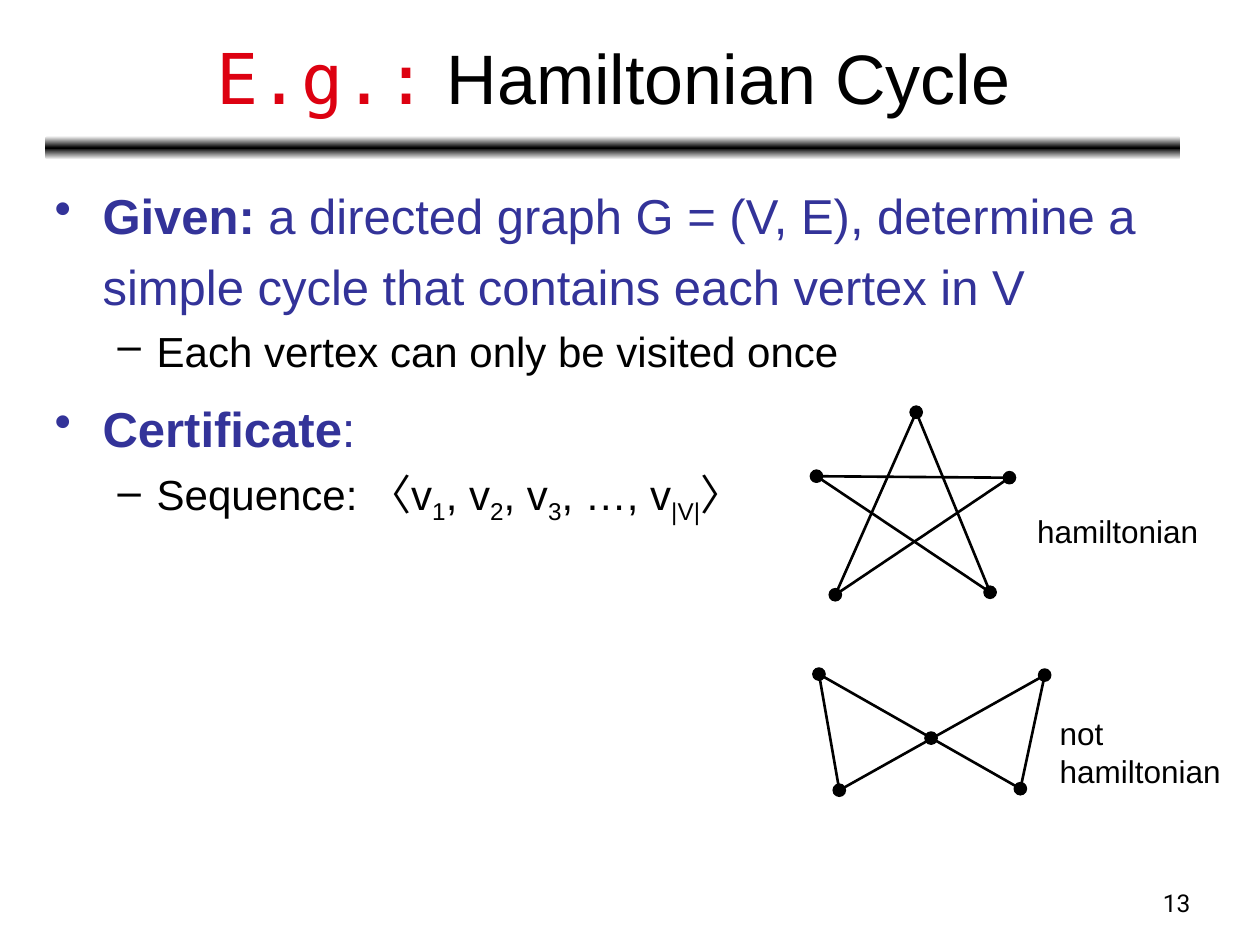
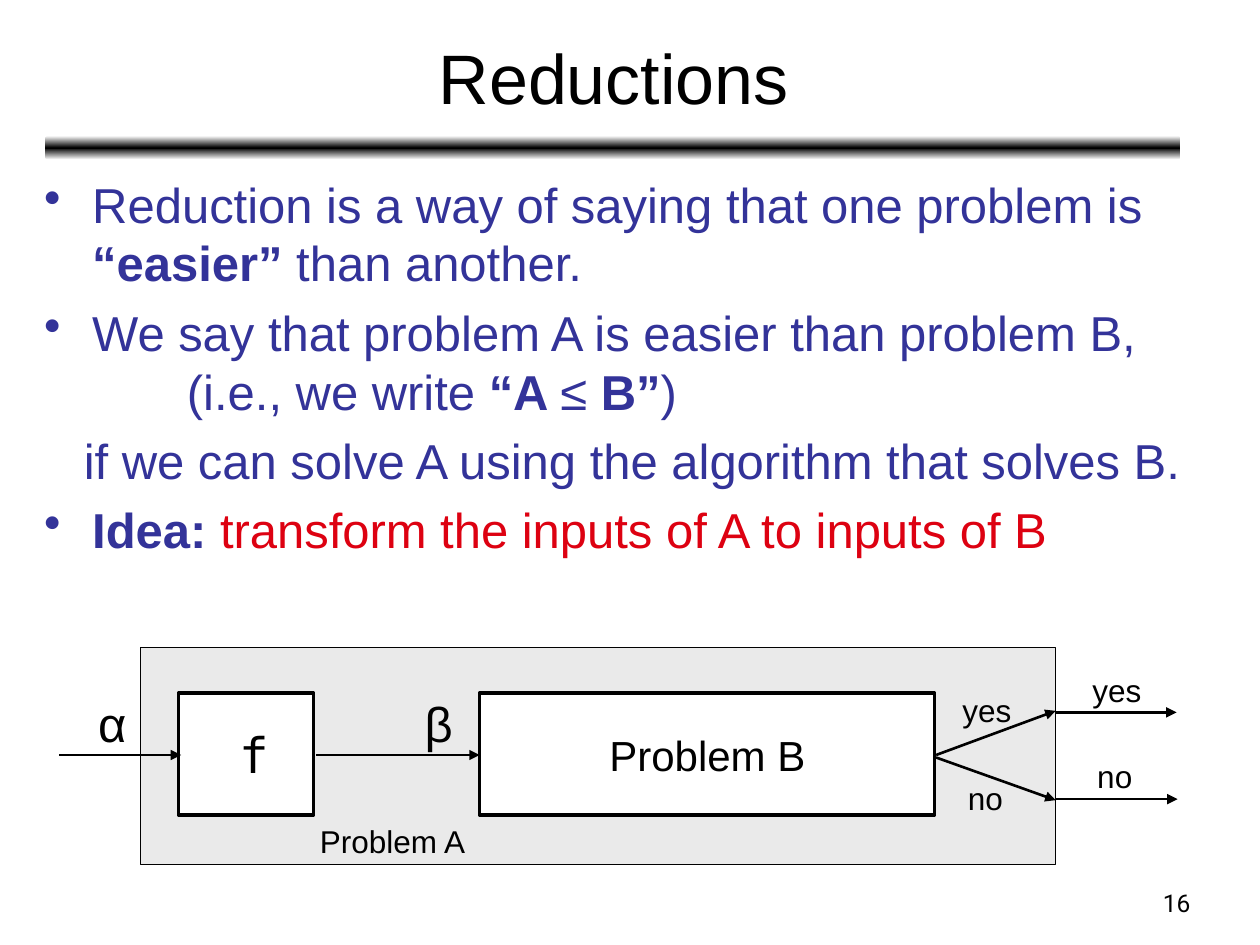
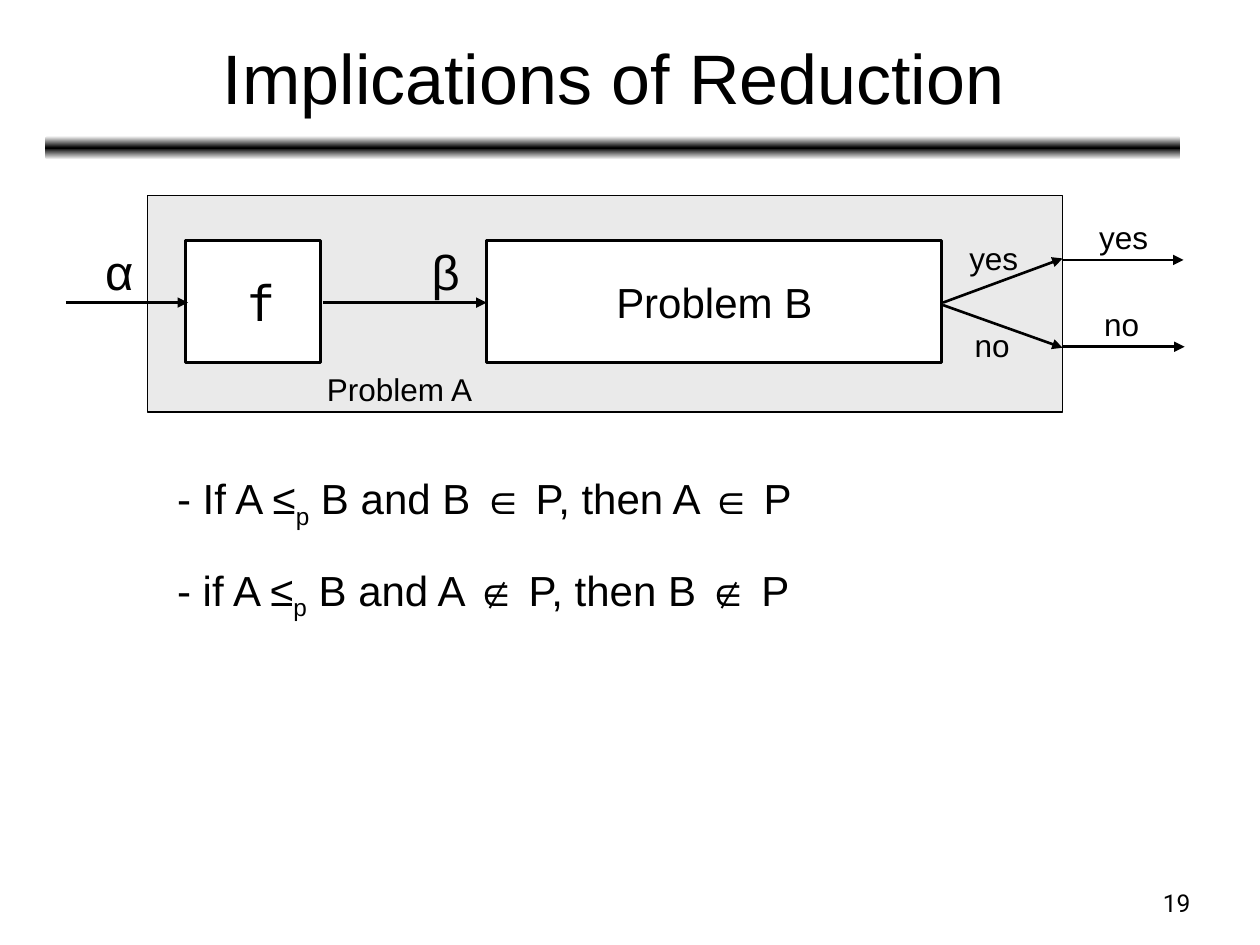
"""Build three lecture slides on Hamiltonian cycles and problem reductions."""
import copy

import pptx
import pptx.dml.color
import pptx.enum.shapes
import pptx.enum.text
import pptx.oxml
import pptx.oxml.ns
import pptx.util

Cm = pptx.util.Cm
Pt = pptx.util.Pt
RGBColor = pptx.dml.color.RGBColor
SHAPE = pptx.enum.shapes.MSO_SHAPE
ALIGN = pptx.enum.text.PP_ALIGN
ANCHOR = pptx.enum.text.MSO_ANCHOR

BLACK = RGBColor(0x00, 0x00, 0x00)
WHITE = RGBColor(0xFF, 0xFF, 0xFF)
BLUE = RGBColor(0x33, 0x33, 0x99)
RED = RGBColor(0xDD, 0x01, 0x11)
GREY = RGBColor(0xEA, 0xEA, 0xEA)
SANS = "Arial"
MONO = "DejaVu Sans Mono"
BOLD = {"bold": True}
SUBSCRIPT = {"baseline": -25000}
MAIN = {"size": 28, "color": BLUE, "left": 0.97, "hang": 0.97, "before": 6, "bullet": "•"}
DETAIL = {"size": 24, "left": 2.06, "hang": 0.79, "spacing": 1.2, "bullet": "–"}


def add_run(paragraph, text, size=18, font=SANS, color=BLACK, bold=False, baseline=None):
    """Append text to a paragraph in the given format."""
    run = paragraph.add_run()
    run.text = text
    run.font.size = Pt(size)
    run.font.name = font
    run.font.bold = bold
    run.font.color.rgb = color
    if baseline is not None:
        run.font._element.set("baseline", str(baseline))


def fill_paragraph(paragraph, runs, align=ALIGN.LEFT, left=0, hang=0, before=0,
                   spacing=None, bullet=None, **style):
    """Format a paragraph and fill it with (text, changes) runs."""
    paragraph.alignment = align
    paragraph.space_before = Pt(before)
    if spacing:
        paragraph.line_spacing = spacing
    properties = paragraph._p.get_or_add_pPr()
    properties.set("marL", str(Cm(left)))
    properties.set("indent", str(Cm(-hang)))
    if bullet:
        mark = pptx.oxml.parse_xml(
            f'<a:buChar {pptx.oxml.ns.nsdecls("a")} char="{bullet}"/>')
        properties.append(mark)
    for text, changes in runs:
        add_run(paragraph, text, **{**style, **changes})


class Deck:
    """Hold the shared style and the current slide."""

    def __init__(self):
        """Start an empty presentation of the right size."""
        self.presentation = pptx.Presentation()
        self.presentation.slide_width = Cm(25.4)
        self.presentation.slide_height = Cm(19.05)
        self.slide = None

    def start_slide(self, title_runs, number):
        """Add a slide with its title, band and number."""
        self.slide = self.presentation.slides.add_slide(self.presentation.slide_layouts[6])
        self.band()
        self.text(23.29, 17.78, 0.84, 0.81, [([(number, {})],
                  {"size": 14, "font": "Roboto", "align": ALIGN.RIGHT})], wrap=False)
        self.text(0.94, 0.28, 22.86, 2.51, [(title_runs, {"size": 40, "align": ALIGN.CENTER})],
                  anchor=ANCHOR.MIDDLE)

    def band(self):
        """Draw the shaded band under the title."""
        shape = self.shape(SHAPE.ROUNDED_RECTANGLE, 0.91, 2.74, 22.89, 0.48, WHITE)
        shape.line.fill.background()
        shape.adjustments[0] = 0.167
        shape.fill.gradient()
        shape.fill.gradient_angle = 90
        for stop in shape.fill.gradient_stops:
            stop.color.rgb = WHITE
        stops = shape.element.spPr.find(".//" + pptx.oxml.ns.qn("a:gsLst"))
        middle = copy.deepcopy(stops[0])
        middle.set("pos", "50000")
        middle[0].set("val", str(BLACK))
        stops.insert(1, middle)

    def shape(self, kind, left, top, width, height, fill, line_width=0.75):
        """Draw a filled shape with a black outline."""
        shape = self.slide.shapes.add_shape(kind, Cm(left), Cm(top), Cm(width), Cm(height))
        shape.shadow.inherit = False
        shape.fill.solid()
        shape.fill.fore_color.rgb = fill
        shape.line.color.rgb = BLACK
        shape.line.width = Pt(line_width)
        return shape

    def text(self, left, top, width, height, paragraphs, anchor=ANCHOR.TOP, wrap=True,
             margin_top=0.13):
        """Place a text box with (runs, style) paragraphs."""
        box = self.slide.shapes.add_textbox(Cm(left), Cm(top), Cm(width), Cm(height))
        frame = box.text_frame
        frame.word_wrap = wrap
        frame.vertical_anchor = anchor
        frame.margin_left = frame.margin_right = frame.margin_bottom = Cm(0.13)
        frame.margin_top = Cm(margin_top)
        for index, (runs, style) in enumerate(paragraphs):
            paragraph = frame.add_paragraph() if index else frame.paragraphs[0]
            fill_paragraph(paragraph, runs, **style)

    def label(self, left, top, width, height, *lines, anchor=ANCHOR.TOP, **style):
        """Place a short unwrapped label."""
        self.text(left, top, width, height, [([(line, {})], style) for line in lines],
                  anchor=anchor, wrap=False)

    def line(self, start, end, arrow=False):
        """Draw a black line, with an arrowhead at its end if asked."""
        connector = self.slide.shapes.add_connector(
            pptx.enum.shapes.MSO_CONNECTOR.STRAIGHT, *map(Cm, start + end))
        connector.line.color.rgb = BLACK
        connector.line.width = Pt(1.5)
        namespace = pptx.oxml.ns.nsdecls("a")
        if arrow:
            connector.line._get_or_add_ln().append(
                pptx.oxml.parse_xml(f'<a:tailEnd {namespace} type="triangle"/>'))
        connector.element.spPr.append(pptx.oxml.parse_xml(f"<a:effectLst {namespace}/>"))

    def graph(self, vertices, edges, diameter=0.25):
        """Draw a graph from named vertices and pairs of names."""
        for start, end in edges:
            self.line(vertices[start], vertices[end])
        for x, y in vertices.values():
            self.shape(SHAPE.OVAL, x - diameter / 2, y - diameter / 2, diameter, diameter, BLACK)

    def reduction(self, left, top):
        """Draw the reduction of problem A to problem B."""
        self.shape(SHAPE.RECTANGLE, left, top, 18.44, 4.37, GREY)
        for x, width in ((0.76, 2.72), (6.83, 9.17)):
            self.shape(SHAPE.RECTANGLE, left + x, top + 0.91, width, 2.46, WHITE, 2)
        centred = {"anchor": ANCHOR.MIDDLE, "align": ALIGN.CENTER}
        self.label(left + 1.85, top + 1.42, 0.56, 1.45, "f", size=28, font=MONO, **centred)
        self.label(left + 9.3, top + 1.54, 4.24, 1.22, "Problem B", size=24, **centred)
        for x1, y1, x2, y2 in ((-1.65, 2.16, 0.81, 2.16), (3.53, 2.16, 6.83, 2.16),
                               (16.03, 2.16, 18.44, 1.27), (16.03, 2.21, 18.44, 3.07),
                               (18.42, 1.3, 20.88, 1.3), (18.44, 3.05, 20.9, 3.05)):
            self.line((left + x1, top + y1), (left + x2, top + y2), arrow=True)
        for text, x, y, width, height, size in (
                ("α", -0.99, 0.79, 0.91, 1.24, 28), ("β", 5.59, 0.79, 0.84, 1.24, 28),
                ("yes", 16.43, 0.74, 1.27, 0.97, 18), ("no", 16.54, 2.51, 0.99, 0.97, 18),
                ("yes", 19.05, 0.33, 1.27, 0.97, 18), ("no", 19.15, 2.08, 0.99, 0.97, 18),
                ("Problem A", 3.48, 3.38, 3.23, 0.97, 18)):
            self.label(left + x, top + y, width, height, text, size=size)


def add_hamiltonian_cycle(deck):
    """Add the slide on Hamiltonian cycles."""
    deck.start_slide([("E.g.:", {"font": MONO, "color": RED}), (" Hamiltonian Cycle", {})], "13")
    main = {**MAIN, "spacing": 1.2}
    sequence = [("Sequence: 〈v", {}), ("1", SUBSCRIPT), (", v", {}), ("2", SUBSCRIPT),
                (", v", {}), ("3", SUBSCRIPT), (", …, v", {}), ("|V|", SUBSCRIPT), ("〉", {})]
    deck.text(0.97, 3.38, 22.86, 14.1, [
        ([("Given:", BOLD), (" a directed graph G = (V, E), determine a simple cycle "
                             "that contains each vertex in V", {})], main),
        ([("Each vertex can only be visited once", {})], DETAIL),
        ([("Certificate", BOLD), (":", {})], main),
        (sequence, DETAIL)])
    star = {"top": (18.47, 8.31), "right": (20.35, 9.63), "left": (16.46, 9.6),
            "lower right": (19.96, 11.94), "lower left": (16.84, 11.99)}
    cycle = ["left", "right", "lower left", "top", "lower right"]
    deck.graph(star, zip(cycle, cycle[1:] + cycle[:1]))
    bow_tie = {"top left": (16.51, 13.59), "top right": (21.06, 13.61),
               "lower left": (16.92, 15.93), "lower right": (20.57, 15.9),
               "centre": (18.77, 14.88)}
    deck.graph(bow_tie, [(f"top {start}", f"lower {end}")
                         for start in ("left", "right") for end in ("left", "right")])
    deck.label(20.78, 10.19, 3.53, 0.97, "hamiltonian")
    deck.label(21.23, 14.27, 3.53, 1.73, "not", "hamiltonian")


def add_reductions(deck):
    """Add the slide that defines reductions."""
    deck.start_slide([("Reductions", {})], "16")
    plain = {**MAIN, "bullet": None, "hang": 0}
    deck.text(0.76, 3.38, 24.13, 14.1, [
        ([("Reduction is a way of saying that one problem is ", {}), ("“easier”", BOLD),
          (" than another.", {})], MAIN),
        ([("We say that problem A is easier than problem B,", {})], MAIN),
        ([("(i.e., we write ", {}), ("“A ", BOLD), ("≤ ", {}), ("B”", BOLD), (")", {})],
         {**plain, "left": 2.88, "before": 0}),
        ([("if we can solve A using the algorithm that solves B.", {})],
         {**plain, "left": 0.8}),
        ([("Idea: ", BOLD), ("transform the inputs of A to inputs of B", {"color": RED})], MAIN)])
    deck.reduction(2.84, 13.06)


def add_implications(deck):
    """Add the slide on what a reduction implies."""
    deck.start_slide([("Implications of Reduction", {})], "19")
    style = {"size": 24, "left": 2.47}
    deck.text(0.97, 8.43, 22.86, 9.93, [
        ([("- If A ≤", {}), ("p", SUBSCRIPT), (" B and B ∈ P, then A ∈ P", {})], style),
        ([("- if A ≤", {}), ("p", SUBSCRIPT), (" B and A ∉ P, then B ∉ P", {})],
         {**style, "spacing": 1.6})], margin_top=1.1)
    deck.reduction(2.98, 3.94)


def main():
    """Build and save the presentation."""
    deck = Deck()
    add_hamiltonian_cycle(deck)
    add_reductions(deck)
    add_implications(deck)
    deck.presentation.save("out.pptx")


if __name__ == "__main__":
    main()
